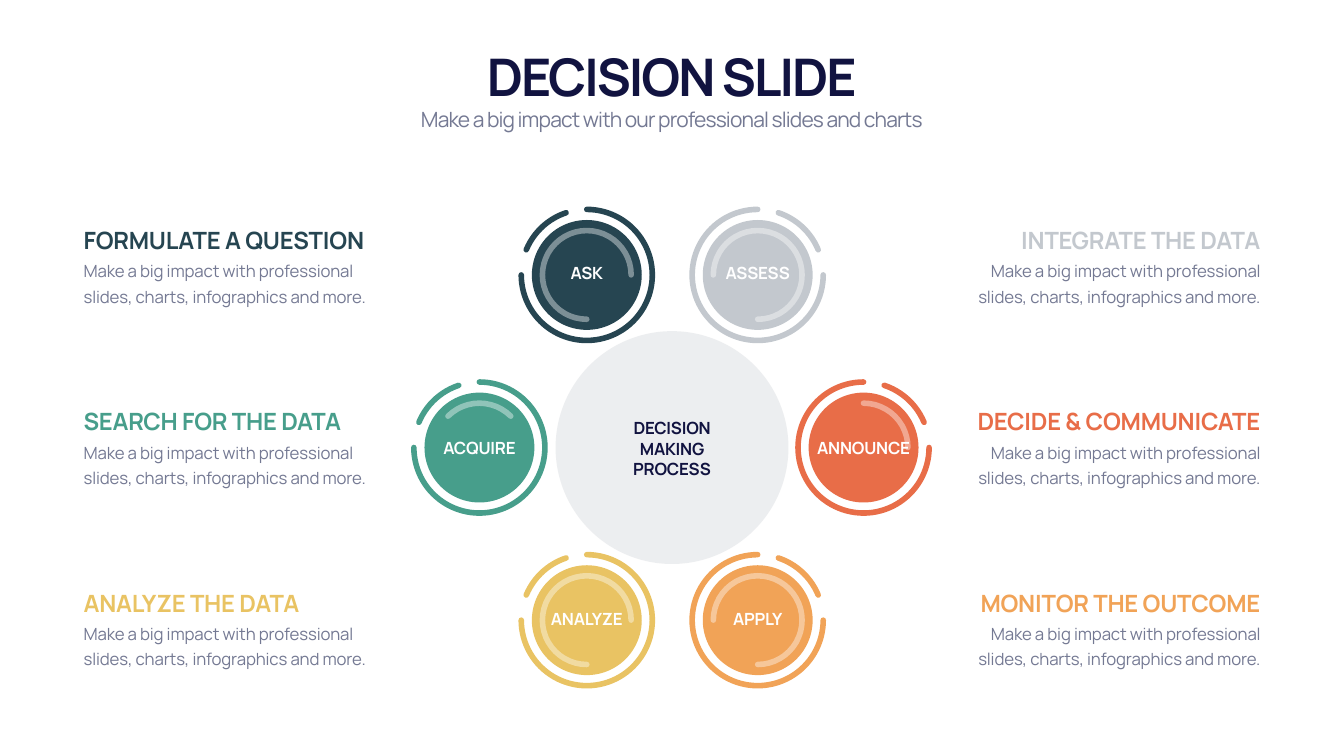
from dataclasses import dataclass

from lxml import etree
from pptx import Presentation
from pptx.dml.color import RGBColor
from pptx.enum.shapes import MSO_SHAPE as Shape
from pptx.enum.text import MSO_ANCHOR as Anchor, MSO_AUTO_SIZE as AutoSize, PP_ALIGN as Align
from pptx.oxml.ns import qn
from pptx.util import Inches, Pt

FONT = "Manrope"
NAVY = RGBColor(0x11, 0x13, 0x40)
SLATE = RGBColor(0x74, 0x79, 0x93)
WHITE = RGBColor(0xFF, 0xFF, 0xFF)
GRAY = RGBColor(0xC3, 0xC8, 0xCE)
TEAL = RGBColor(0x26, 0x45, 0x51)
GREEN = RGBColor(0x47, 0x9E, 0x8B)
YELLOW = RGBColor(0xE9, 0xC3, 0x63)
ORANGE = RGBColor(0xF1, 0xA3, 0x57)
RED = RGBColor(0xE8, 0x6D, 0x48)

DETAIL = "Make a big impact with professional slides, charts, infographics and more."
DISC_RADIUS = 1.09
RING_RADIUS = 1.3
GLOSS_RADIUS = 0.88
HUB_X, HUB_Y, HUB_RADIUS = 13.33, 8.88, 2.31
BADGE_STEP = 3.425
CAPTION_TOP, CAPTION_STEP = 4.42, 3.6
LABEL_CENTERS = (5.42, 8.88, 12.28)


@dataclass
class Step:
    label: str
    heading: str
    color: RGBColor
    row: int
    center_x: float
    gloss: tuple

    @property
    def on_left(self):
        return self.center_x < HUB_X


STEPS = (
    Step("ASSESS", "INTEGRATE THE DATA", GRAY, 0, 15.03, (180, 90)),
    Step("ANNOUNCE", "DECIDE & COMMUNICATE", RED, 1, 17.13, (270, 0)),
    Step("APPLY", "MONITOR THE OUTCOME", ORANGE, 2, 15.03, (180, 90)),
    Step("ASK", "FORMULATE A QUESTION", TEAL, 0, 11.64, (90, 0)),
    Step("ACQUIRE", "SEARCH FOR THE DATA", GREEN, 1, 9.51, (225, 315)),
    Step("ANALYZE", "ANALYZE THE DATA", YELLOW, 2, 11.64, (90, 0)),
)


def set_opacity(fill_parent, percent):
    color = fill_parent.find(".//" + qn("a:srgbClr"))
    etree.SubElement(color, qn("a:alpha")).set("val", str(percent * 1000))


def add_round(slide, preset, x, y, radius):
    shape = slide.shapes.add_shape(
        preset, Inches(x - radius), Inches(y - radius), Inches(2 * radius), Inches(2 * radius))
    shape.shadow.inherit = False
    return shape


def add_disc(slide, x, y, radius, color, opacity=100):
    disc = add_round(slide, Shape.OVAL, x, y, radius)
    disc.fill.solid()
    disc.fill.fore_color.rgb = color
    disc.line.fill.background()
    if opacity < 100:
        set_opacity(disc._element.spPr.find(qn("a:solidFill")), opacity)


def add_arc(slide, x, y, radius, angles, color, opacity=100):
    arc = add_round(slide, Shape.ARC, x, y, radius)
    for index, degrees in enumerate(angles):
        arc.adjustments[index] = degrees * 0.6
    arc.fill.background()
    arc.line.color.rgb = color
    arc.line.width = Pt(8)
    stroke = arc._element.spPr.find(qn("a:ln"))
    stroke.set("cap", "rnd")
    if opacity < 100:
        set_opacity(stroke, opacity)


def add_text(slide, text, left, top, width, height, size, color, *, bold=False,
             align=Align.CENTER, anchor=Anchor.TOP, tracking=-0.3, leading=None):
    box = slide.shapes.add_textbox(Inches(left), Inches(top), Inches(width), Inches(height))
    frame = box.text_frame
    frame.word_wrap = True
    frame.auto_size = AutoSize.SHAPE_TO_FIT_TEXT
    frame.vertical_anchor = anchor
    paragraph = frame.paragraphs[0]
    paragraph.text = text
    paragraph.alignment = align
    if leading:
        paragraph.line_spacing = Pt(leading)
    font = paragraph.font
    font.name, font.size, font.bold = FONT, Pt(size), bold
    font.color.rgb = color
    paragraph._p.pPr.find(qn("a:defRPr")).set("spc", str(round(tracking * 100)))


def add_badge(slide, step):
    x = step.center_x
    y = HUB_Y + (step.row - 1) * BADGE_STEP
    ring, dash = ((270, 180), (202.6, 251.6)) if step.on_left else ((0, 270), (288.4, 337.4))
    add_disc(slide, x, y, DISC_RADIUS, step.color)
    add_arc(slide, x, y, RING_RADIUS, ring, step.color)
    add_arc(slide, x, y, GLOSS_RADIUS, step.gloss, WHITE, 40)
    add_arc(slide, x, y, RING_RADIUS, dash, step.color)
    add_text(slide, step.label, x - 1.125, LABEL_CENTERS[step.row] - 0.25, 2.25, 0.5, 24, WHITE,
             bold=True, anchor=Anchor.MIDDLE)


def add_caption(slide, step):
    left, align = (1.56, Align.LEFT) if step.on_left else (18.78, Align.RIGHT)
    top = CAPTION_TOP + step.row * CAPTION_STEP
    add_text(slide, step.heading, left, top, 6.32, 0.67, 34, step.color,
             bold=True, align=align, anchor=Anchor.BOTTOM)
    add_text(slide, DETAIL, left, top + 0.61, 6.32, 1.09, 24, SLATE,
             align=align, tracking=-0.2, leading=36)


def main():
    deck = Presentation()
    deck.slide_width, deck.slide_height = Inches(26.66), Inches(15)
    slide = deck.slides.add_slide(deck.slide_layouts[6])

    add_text(slide, "DECISION SLIDE", 1.66, 0.82, 23.33, 1.35, 74, NAVY,
             bold=True, anchor=Anchor.BOTTOM, tracking=-2.9)
    add_text(slide, "Make a big impact with our professional slides and charts",
             1.66, 2.07, 23.33, 0.61, 30, SLATE, tracking=-1.2)

    add_disc(slide, HUB_X, HUB_Y, HUB_RADIUS, GRAY, 30)
    add_text(slide, "DECISION MAKING PROCESS", HUB_X - 1.39, 8.24, 2.78, 1.31, 24, NAVY,
             bold=True, anchor=Anchor.MIDDLE)

    for step in STEPS:
        add_badge(slide, step)
        add_caption(slide, step)

    deck.save("out.pptx")


if __name__ == "__main__":
    main()
